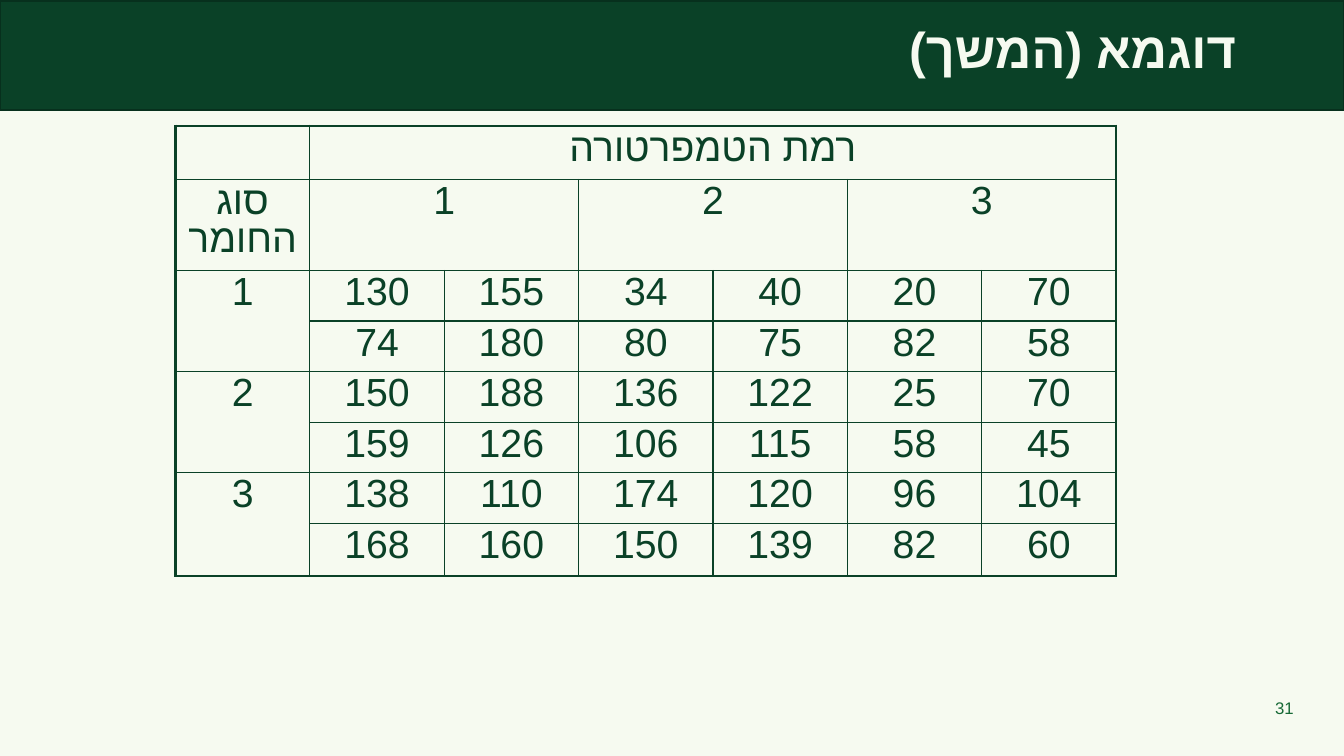
from dataclasses import dataclass

from lxml import etree
from pptx import Presentation
from pptx.dml.color import RGBColor
from pptx.enum.shapes import MSO_SHAPE
from pptx.enum.text import MSO_ANCHOR, PP_ALIGN
from pptx.oxml.ns import qn
from pptx.slide import Slide
from pptx.table import Table, _Cell
from pptx.text.text import TextFrame
from pptx.util import Inches, Pt

RECTANGLE = MSO_SHAPE.RECTANGLE
MIDDLE = MSO_ANCHOR.MIDDLE
CENTER, RIGHT = PP_ALIGN.CENTER, PP_ALIGN.RIGHT

CREAM, GREEN, DARK_GREEN, NUMBER_GREEN = "F6FAF0", "0A4127", "07301D", "176936"
THIN, THICK = 1, 2.25
COLUMN_WIDTH = 9.33 / 7
ROW_HEIGHTS = [0.53, 0.87] + [0.49] * 5 + [0.52]

MEASUREMENTS = [
    [130, 155, 34, 40, 20, 70],
    [74, 180, 80, 75, 82, 58],
    [150, 188, 136, 122, 25, 70],
    [159, 126, 106, 115, 58, 45],
    [138, 110, 174, 120, 96, 104],
    [168, 160, 150, 139, 82, 60],
]


@dataclass(frozen=True)
class TextStyle:
    size: float
    color: str
    font: str = "Arial"
    bold: bool = False
    alignment: PP_ALIGN = RIGHT
    right_to_left: bool = False
    line_spacing: float = 1.0


@dataclass(frozen=True)
class Entry:
    row: int
    column: int
    text: str
    row_span: int = 1
    column_span: int = 1


TITLE_STYLE = TextStyle(36, CREAM, bold=True, right_to_left=True, line_spacing=0.7)
NUMBER_STYLE = TextStyle(12, NUMBER_GREEN)
CELL_STYLE = TextStyle(28, GREEN, "Times New Roman", alignment=CENTER,
                       right_to_left=True, line_spacing=0.86)


def rgb(color: str) -> RGBColor:
    return RGBColor.from_string(color)


def write(frame: TextFrame, text: str, style: TextStyle) -> None:
    paragraph = frame.paragraphs[0]
    paragraph.alignment = style.alignment
    paragraph.line_spacing = style.line_spacing
    run = paragraph.add_run()
    run.text = text
    run.font.name = style.font
    run.font.size = Pt(style.size)
    run.font.bold = style.bold
    run.font.color.rgb = rgb(style.color)
    if style.right_to_left:
        paragraph._p.get_or_add_pPr().set("rtl", "1")
        complex_font = etree.SubElement(run._r.get_or_add_rPr(), qn("a:cs"))
        complex_font.set("typeface", "Arial")


def add_heading(slide: Slide) -> None:
    band = slide.shapes.add_shape(RECTANGLE, 0, Inches(0.01), Inches(13.33), Inches(1.08))
    band.shadow.inherit = False
    band.fill.solid()
    band.fill.fore_color.rgb = rgb(GREEN)
    band.line.color.rgb = rgb(DARK_GREEN)
    band.line.width = Pt(1)

    title = slide.shapes.title
    title.element.addprevious(band.element)
    title.left, title.top = Inches(4.3), Inches(0.01)
    title.width, title.height = Inches(8.06), Inches(1.08)
    title.text_frame.vertical_anchor = MIDDLE
    write(title.text_frame, "דוגמא (המשך)", TITLE_STYLE)


def add_slide_number(slide: Slide) -> None:
    box = slide.shapes.add_textbox(Inches(12.41), Inches(6.82), Inches(0.52), Inches(0.4))
    box.text_frame.word_wrap = True
    box.text_frame.vertical_anchor = MIDDLE
    write(box.text_frame, "31", NUMBER_STYLE)


def table_entries() -> list[Entry]:
    entries = [Entry(0, 1, "רמת הטמפרטורה", column_span=6), Entry(1, 0, "סוג החומר")]
    for level in range(3):
        label = str(level + 1)
        entries.append(Entry(1, 1 + 2 * level, label, column_span=2))
        entries.append(Entry(2 + 2 * level, 0, label, row_span=2))
    for row, values in enumerate(MEASUREMENTS, start=2):
        for column, value in enumerate(values, start=1):
            entries.append(Entry(row, column, str(value)))
    return entries


def set_border(cell: _Cell, side: str, width: float) -> None:
    line = etree.SubElement(cell._tc.get_or_add_tcPr(), qn(f"a:ln{side}"))
    line.set("w", str(Pt(width)))
    fill = etree.SubElement(line, qn("a:solidFill"))
    etree.SubElement(fill, qn("a:srgbClr")).set("val", GREEN)


def format_cells(table: Table) -> None:
    """Give every cell no fill, thin inner borders and thick outer ones."""
    row_count, column_count = len(table.rows), len(table.columns)
    for row in range(row_count):
        for column in range(column_count):
            cell = table.cell(row, column)
            outer_sides = {
                "L": column == 0,
                "R": column + cell.span_width == column_count,
                "T": row == 0,
                "B": row + cell.span_height == row_count,
            }
            for side, is_outer in outer_sides.items():
                set_border(cell, side, THICK if is_outer else THIN)
            cell.fill.background()


def add_measurement_table(slide: Slide) -> None:
    frame = slide.shapes.add_table(
        len(ROW_HEIGHTS), 7, Inches(1.74), Inches(1.25),
        Inches(7 * COLUMN_WIDTH), Inches(sum(ROW_HEIGHTS)))
    table = frame.table
    table.first_row = False
    table.horz_banding = False
    for column in table.columns:
        column.width = Inches(COLUMN_WIDTH)
    for row, height in zip(table.rows, ROW_HEIGHTS):
        row.height = Inches(height)
    for entry in table_entries():
        cell = table.cell(entry.row, entry.column)
        if entry.row_span > 1 or entry.column_span > 1:
            cell.merge(table.cell(entry.row + entry.row_span - 1,
                                  entry.column + entry.column_span - 1))
        write(cell.text_frame, entry.text, CELL_STYLE)
    format_cells(table)


def main() -> None:
    presentation = Presentation()
    presentation.slide_width = Inches(13.33)
    presentation.slide_height = Inches(7.5)
    slide = presentation.slides.add_slide(presentation.slide_layouts[5])
    slide.background.fill.solid()
    slide.background.fill.fore_color.rgb = rgb(CREAM)
    add_heading(slide)
    add_slide_number(slide)
    add_measurement_table(slide)
    presentation.save("out.pptx")


if __name__ == "__main__":
    main()
